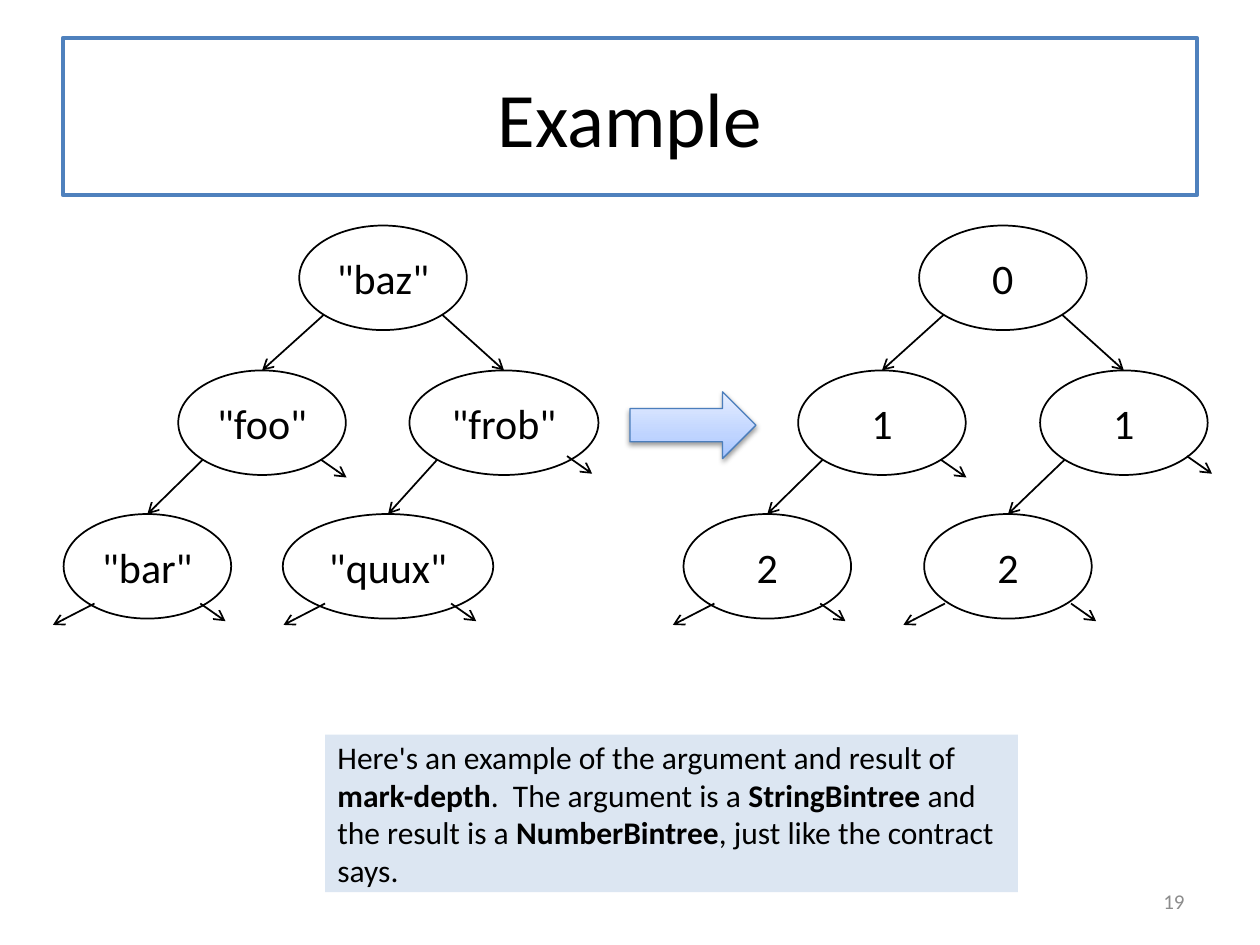
from lxml.etree import SubElement
from pptx import Presentation
from pptx.dml.color import RGBColor
from pptx.enum.shapes import MSO_CONNECTOR, MSO_SHAPE
from pptx.enum.text import MSO_ANCHOR, PP_ALIGN
from pptx.oxml import parse_xml
from pptx.oxml.ns import nsdecls, qn
from pptx.util import Inches, Pt

COLORS = {
    "black": "000000", "white": "FFFFFF", "gray": "8C8C8C",
    "title_line": "4F81BD", "arrow_line": "4B7EBC", "note": "DCE6F2",
}
ARROW_STOPS = [(0, "A4C4FF"), (35, "BFD4FF"), (100, "E6EEFF")]

# Tree geometry, in inches
NODE_WIDTH, NODE_HEIGHT = 1.33, 0.83
LEVEL_TOPS = [1.79, 2.94, 4.08]
NODES = {  # name: (centre, level)
    "left leaf": (1.17, 2), "right leaf": (3.08, 2),
    "left": (2.08, 1), "right": (4.0, 1), "root": (3.04, 0),
}
EDGES = [("root", "left", -1), ("root", "right", 1),
         ("left", "left leaf", -1), ("right", "right leaf", -1)]
DIAGONAL = 0.3536  # share of an ellipse's size from its centre to a diagonal point
RIGHT_STUB, LEFT_STUB = (0.2, 0.14), (-0.33, 0.17)
STUBS = [  # node, offset from its centre, top, length
    ("left", 0.47, 3.65, RIGHT_STUB), ("right leaf", 0.5, 4.79, RIGHT_STUB),
    ("right", 0.5, 3.62, RIGHT_STUB), ("left leaf", 0.42, 4.79, RIGHT_STUB),
    ("left leaf", -0.42, 4.79, LEFT_STUB), ("right leaf", -0.5, 4.79, LEFT_STUB),
]


def color(name):
    return RGBColor.from_string(COLORS[name])


def write_text(shape, text, size=18, ink="black", align=PP_ALIGN.LEFT):
    """Write one paragraph; parts between asterisks are bold."""
    frame = shape.text_frame
    frame.word_wrap = True
    frame.vertical_anchor = MSO_ANCHOR.MIDDLE
    paragraph = frame.paragraphs[0]
    paragraph.alignment = align
    for index, part in enumerate(text.split("*")):
        run = paragraph.add_run()
        run.text = part
        run.font.name = "Calibri"
        run.font.size = Pt(size)
        run.font.bold = index % 2 == 1
        run.font.color.rgb = color(ink)


class SlideBuilder:
    def __init__(self, slide):
        self.slide = slide

    def shape(self, kind, left, top, width, height, fill=None, line=None,
              weight=1, parent=None):
        shape = (parent or self.slide).shapes.add_shape(
            kind, Inches(left), Inches(top), Inches(width), Inches(height))
        shape.shadow.inherit = False
        if fill:
            shape.fill.solid()
            shape.fill.fore_color.rgb = color(fill)
        else:
            shape.fill.background()
        if line:
            shape.line.color.rgb = color(line)
            shape.line.width = Pt(weight)
        else:
            shape.line.fill.background()
        return shape

    def box(self, text, left, top, width, height, fill, line=None, weight=1, **style):
        shape = self.shape(MSO_SHAPE.RECTANGLE, left, top, width, height,
                           fill, line, weight)
        write_text(shape, text, **style)

    def label(self, text, left, top, width, height, **style):
        box = self.slide.shapes.add_textbox(
            Inches(left), Inches(top), Inches(width), Inches(height))
        write_text(box, text, **style)

    def pointer(self, group, x1, y1, x2, y2):
        line = group.shapes.add_connector(
            MSO_CONNECTOR.STRAIGHT, Inches(x1), Inches(y1), Inches(x2), Inches(y2))
        line.line.color.rgb = color("black")
        line.line.width = Pt(1)
        SubElement(line.line._get_or_add_ln(), qn("a:tailEnd"), type="arrow")
        SubElement(line._element.spPr, qn("a:effectLst"))

    def tree(self, shift, labels, widths):
        group = self.slide.shapes.add_group_shape()
        # Nodes
        for name, (center, level) in NODES.items():
            width = widths.get(name, NODE_WIDTH)
            node = self.shape(
                MSO_SHAPE.OVAL, center + shift - width / 2, LEVEL_TOPS[level],
                width, NODE_HEIGHT, line="black", parent=group)
            write_text(node, labels[name], size=24, align=PP_ALIGN.CENTER)
        # Edges from a parent's diagonal point to a child's top
        for parent, child, side in EDGES:
            center, level = NODES[parent]
            child_center, child_level = NODES[child]
            width = widths.get(parent, NODE_WIDTH)
            self.pointer(
                group, center + shift + side * DIAGONAL * width,
                LEVEL_TOPS[level] + (0.5 + DIAGONAL) * NODE_HEIGHT,
                child_center + shift, LEVEL_TOPS[child_level])
        # Short pointers to empty subtrees
        for name, offset, top, (dx, dy) in STUBS:
            x = NODES[name][0] + shift + offset
            self.pointer(group, x, top, x + dx, top + dy)

    def block_arrow(self, left, top, width, height):
        arrow = self.shape(MSO_SHAPE.RIGHT_ARROW, left, top, width, height,
                           line="arrow_line", weight=0.75)
        # Three-stop gradient
        arrow.fill.gradient()
        arrow.fill.gradient_angle = 90
        stops = arrow._element.spPr.find(".//" + qn("a:gsLst"))
        stops.clear()
        for position, value in ARROW_STOPS:
            stop = SubElement(stops, qn("a:gs"), pos=str(position * 1000))
            SubElement(stop, qn("a:srgbClr"), val=value)
        # Soft shadow below
        effects = arrow._element.spPr.find(qn("a:effectLst"))
        effects.append(parse_xml(
            f'<a:outerShdw {nsdecls("a")} blurRad="{Pt(3.1)}" dist="{Pt(1.6)}" '
            'dir="5400000" rotWithShape="0"><a:srgbClr val="000000">'
            '<a:alpha val="38000"/></a:srgbClr></a:outerShdw>'))


def main():
    presentation = Presentation()
    presentation.slide_width = Inches(10)
    presentation.slide_height = Inches(7.5)
    builder = SlideBuilder(presentation.slides.add_slide(presentation.slide_layouts[6]))

    # Title and page number
    builder.box("Example", 0.5, 0.3, 9, 1.25, "white", "title_line", 2.25,
                size=44, align=PP_ALIGN.CENTER)
    builder.label("19", 7.17, 6.95, 2.33, 0.4, size=12, ink="gray",
                  align=PP_ALIGN.RIGHT)

    # Result tree, arrow and argument tree
    depths = {name: str(level) for name, (_, level) in NODES.items()}
    builder.tree(4.92, depths, {})
    builder.block_arrow(5, 3.11, 1, 0.53)
    words = {"left leaf": '"bar"', "right leaf": '"quux"', "left": '"foo"',
             "right": '"frob"', "root": '"baz"'}
    builder.tree(0, words, {"right leaf": 1.67, "right": 1.5})

    # Explanation
    builder.box("Here's an example of the argument and result of *mark-depth*.  "
                "The argument is a *StringBintree* and the result is a "
                "*NumberBintree*, just like the contract says.",
                2.58, 5.83, 5.5, 1.25, "note")

    presentation.save("out.pptx")


if __name__ == "__main__":
    main()
